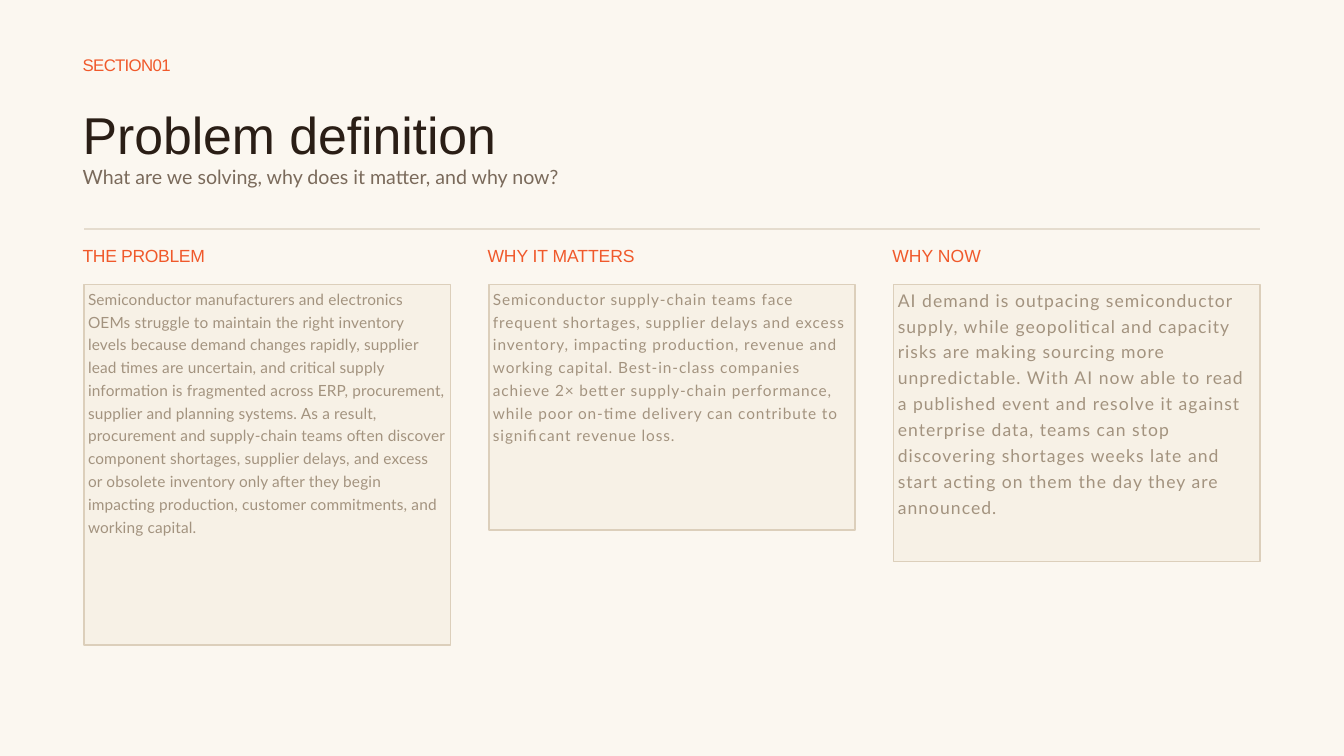
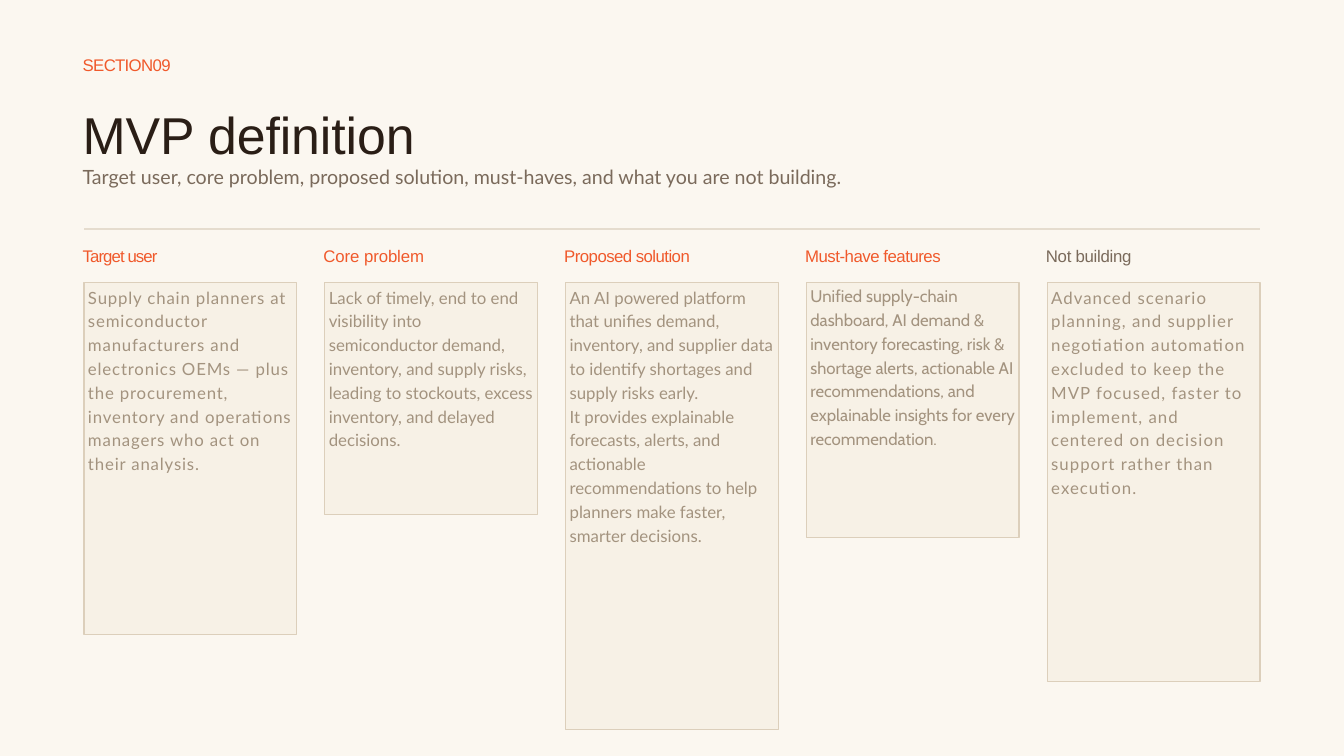
"""Build the problem definition and MVP definition slides."""
from dataclasses import dataclass

from lxml.etree import SubElement
from pptx import Presentation
from pptx.dml.color import RGBColor
from pptx.enum.shapes import MSO_CONNECTOR, MSO_SHAPE
from pptx.enum.text import MSO_ANCHOR as Anchor, MSO_AUTO_SIZE as AutoSize, PP_ALIGN as Align
from pptx.oxml.ns import qn
from pptx.slide import Slide
from pptx.text.text import TextFrame
from pptx.util import Emu, Inches, Pt

GRID_COLUMNS, GRID_ROWS = 80, 45
CELL = 0.25
MARGIN, CONTENT_WIDTH = 5, 70
TEXT_LEFT = 4.92
RULE_ROW = 13.64
CARD_INSET = 0.24

PAPER, CARD_FILL, CARD_LINE = "FBF7F0", "F7F1E6", "DCCFBB"
RULE, ACCENT, INK = "E5DCCE", "F0592B", "2A1E16"
MUTED, BODY = "7A6A5B", "A3937F"


@dataclass(frozen=True)
class TextStyle:
    """Type settings of a paragraph, in points."""
    font: str
    size: float
    line: float
    color: str
    tracking: float = 0


@dataclass(frozen=True)
class Column:
    """A heading with a card below it, in grid units."""
    heading: str
    heading_width: float
    heading_tracking: float
    card_height: float
    paragraphs: tuple[str, ...]
    tracking: float = 0
    size: float = 18
    line: float = 25.5
    font: str = "Lato"
    heading_color: str = ACCENT
    lift: float = 0.16


@dataclass(frozen=True)
class Page:
    """Everything that differs between the slides."""
    section: str
    section_width: float
    title: str
    subtitle: str
    columns: tuple[Column, ...]
    gutter: float
    card_row: float
    heading_row: float
    heading_size: float
    heading_line: float


SECTION = TextStyle("Arial", 18, 21.6, ACCENT, -2.8)
TITLE = TextStyle("Arial", 55.5, 66.6, INK, -0.1)
SUBTITLE = TextStyle("Lato", 21, 25.2, MUTED)

PAGES = (
    Page(
        "S E C T I O N 0 1", 7.32, "Problem definition",
        "What are we solving, why does it matter, and why now?",
        (
            Column("THE PROBLEM", 8.32, -0.4, 21.48, (
                "Semiconductor manufacturers and electronics OEMs struggle to maintain the right "
                "inventory levels because demand changes rapidly, supplier lead times are uncertain, "
                "and critical supply information is fragmented across ERP, procurement, supplier and "
                "planning systems. As a result, procurement and supply-chain teams often discover "
                "component shortages, supplier delays, and excess or obsolete inventory only after "
                "they begin impacting production, customer commitments, and working capital.",
            ), 0.2, 16.5, 24.4),
            Column("WHY IT MATTERS", 10.4, -0.1, 14.64, (
                "Semiconductor supply-chain teams face frequent shortages, supplier delays and excess "
                "inventory, impacting production, revenue and working capital. Best-in-class companies "
                "achieve 2× better supply-chain performance, while poor on-time delivery can contribute "
                "to significant revenue loss.",
            ), 1, 16.5, 24.4),
            Column("WHY NOW", 6.28, 0, 16.52, (
                "AI demand is outpacing semiconductor supply, while geopolitical and capacity risks are "
                "making sourcing more unpredictable. With AI now able to read a published event and "
                "resolve it against enterprise data, teams can stop discovering shortages weeks late "
                "and start acting on them the day they are announced.",
            ), 1.1, 18.8, 27.7, lift=0.2),
        ),
        gutter=2.3, card_row=16.92, heading_row=14.6, heading_size=18.8, heading_line=22.5,
    ),
    Page(
        "S E C T I O N 0 9", 7.6, "MVP definition",
        "Target user, core problem, proposed solution, must-haves, and what you are not building.",
        (
            Column("Target user", 5.96, -1, 20.96, (
                "Supply chain planners at semiconductor manufacturers and electronics OEMs — plus the "
                "procurement, inventory and operations managers who act on their analysis.",
            ), 0.9),
            Column("Core problem", 7.16, -0.1, 13.82, (
                "Lack of timely, end to end visibility into semiconductor demand, inventory, and supply "
                "risks, leading to stockouts, excess inventory, and delayed decisions.",
            )),
            Column("Proposed solution", 9.32, -0.6, 26.64, (
                "An AI powered platform that unifies demand, inventory, and supplier data to identify "
                "shortages and supply risks early.",
                "It provides explainable forecasts, alerts, and actionable recommendations to help "
                "planners make faster, smarter decisions.",
            )),
            Column("Must-have features", 10.28, -0.5, 15.2, (
                "Unified supply-chain dashboard, AI demand & inventory forecasting, risk & shortage "
                "alerts, actionable AI recommendations, and explainable insights for every "
                "recommendation.",
            ), font="Cabin", lift=0.24),
            Column("Not building", 6.36, -0.3, 23.76, (
                "Advanced scenario planning, and supplier negotiation automation excluded to keep the "
                "MVP focused, faster to implement, and centered on decision support rather than "
                "execution.",
            ), 1.1, heading_color=MUTED),
        ),
        gutter=1.67, card_row=16.8, heading_row=14.64, heading_size=18, heading_line=21.6,
    ),
)


def grid(units: float) -> Emu:
    """Turn grid units into a length."""
    return Inches(units * CELL)


def rgb(color: str) -> RGBColor:
    """Turn a hex string into a colour."""
    return RGBColor.from_string(color)


def write(frame: TextFrame, lines: list[tuple[str, TextStyle]],
          inset: float = 0, top_inset: float = 0) -> None:
    """Fill a text frame with one styled paragraph per line."""
    frame.word_wrap = True
    frame.vertical_anchor = Anchor.TOP
    frame.margin_left = frame.margin_right = frame.margin_bottom = grid(inset)
    frame.margin_top = grid(top_inset)
    for index, (text, style) in enumerate(lines):
        paragraph = frame.add_paragraph() if index else frame.paragraphs[0]
        paragraph.alignment = Align.LEFT
        paragraph.line_spacing = Pt(style.line)
        run = paragraph.add_run()
        run.text = text
        run.font.name = style.font
        run.font.size = Pt(style.size)
        run.font.color.rgb = rgb(style.color)
        run._r.get_or_add_rPr().set("spc", str(round(style.tracking * 100)))


def add_label(slide: Slide, left: float, top: float, width: float, height: float,
              *lines: tuple[str, TextStyle]) -> None:
    """Add a text box without insets that grows with its text."""
    box = slide.shapes.add_textbox(grid(left), grid(top), grid(width), grid(height))
    write(box.text_frame, list(lines))
    box.text_frame.auto_size = AutoSize.SHAPE_TO_FIT_TEXT


def add_rule(slide: Slide) -> None:
    """Draw the line between the title and the columns."""
    rule = slide.shapes.add_connector(
        MSO_CONNECTOR.STRAIGHT, grid(MARGIN), grid(RULE_ROW),
        grid(MARGIN + CONTENT_WIDTH), grid(RULE_ROW))
    rule.line.color.rgb = rgb(RULE)
    rule.line.width = Pt(1.5)
    SubElement(rule._element.spPr, qn("a:effectLst"))


def add_card(slide: Slide, column: Column, left: float, top: float, width: float) -> None:
    """Draw a bordered card holding the text of a column."""
    card = slide.shapes.add_shape(
        MSO_SHAPE.RECTANGLE, grid(left), grid(top), grid(width), grid(column.card_height))
    card.shadow.inherit = False
    card.fill.solid()
    card.fill.fore_color.rgb = rgb(CARD_FILL)
    card.line.color.rgb = rgb(CARD_LINE)
    card.line.width = Pt(1.5)
    style = TextStyle(column.font, column.size, column.line, BODY, column.tracking)
    write(card.text_frame, [(text, style) for text in column.paragraphs],
          CARD_INSET, CARD_INSET - column.lift)


def add_columns(slide: Slide, page: Page) -> None:
    """Spread the columns evenly over the content width."""
    count = len(page.columns)
    width = (CONTENT_WIDTH - (count - 1) * page.gutter) / count
    for index, column in enumerate(page.columns):
        offset = index * (width + page.gutter)
        heading = TextStyle("Arial", page.heading_size, page.heading_line,
                            column.heading_color, column.heading_tracking)
        add_label(slide, TEXT_LEFT + offset, page.heading_row, column.heading_width, 1.4,
                  (column.heading, heading))
        add_card(slide, column, MARGIN + offset, page.card_row, width)


def add_page(presentation: Presentation, page: Page) -> None:
    """Add one slide with its header, rule and columns."""
    slide = presentation.slides.add_slide(presentation.slide_layouts[6])
    slide.background.fill.solid()
    slide.background.fill.fore_color.rgb = rgb(PAPER)
    add_label(slide, TEXT_LEFT, 3.24, page.section_width, 1.4, (page.section, SECTION))
    add_label(slide, TEXT_LEFT, 6.12, 52.32, 6.2, (page.title, TITLE), (page.subtitle, SUBTITLE))
    add_rule(slide)
    add_columns(slide, page)


def main() -> None:
    """Build and save the presentation."""
    presentation = Presentation()
    presentation.slide_width = grid(GRID_COLUMNS)
    presentation.slide_height = grid(GRID_ROWS)
    for page in PAGES:
        add_page(presentation, page)
    presentation.save("out.pptx")


if __name__ == "__main__":
    main()
